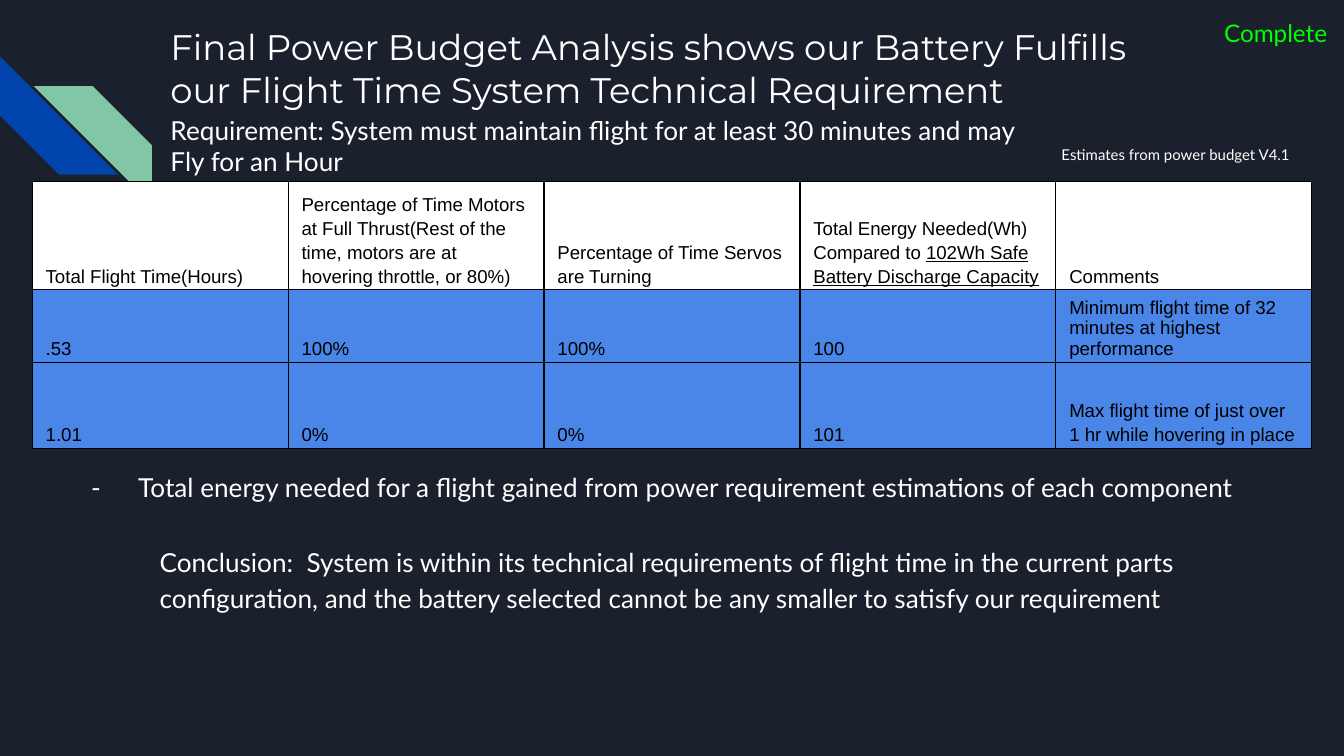
from lxml import etree
from pptx import Presentation, util as u
from pptx.dml.color import RGBColor
from pptx.enum import shapes, text
from pptx.oxml import ns

COLUMNS, ROWS = 100, 56.25
UNIT = u.Inches(0.1)  # side of one grid cell
NAVY, BLUE, GREEN = "1B212C", "0145AC", "82C7A5"
WHITE, BLACK, LIME, CELL_BLUE = "FFFFFF", "000000", "00FF00", "4A86E8"

HEADERS = [
    ["Total Flight Time(Hours)"],
    ["Percentage of Time Motors at Full Thrust(Rest of the time, "
     "motors are at hovering throttle, or 80%)"],
    ["Percentage of Time Servos are Turning"],
    ["Total Energy Needed(Wh) Compared to ", "102Wh Safe Battery Discharge Capacity"],
    ["Comments"],
]
FLIGHTS = [
    [".53", "100%", "100%", "100",
     "Minimum flight time of 32 minutes at highest performance"],
    ["1.01", "0%", "0%", "101",
     "Max flight time of just over 1 hr while hovering in place"],
]


def color(value):
    return RGBColor.from_string(value)


def grid(*cells):
    """Turn counts of grid columns or rows into lengths."""
    return [u.Emu(round(count * UNIT)) for count in cells]


def style(para, font, size, ink, spacing=1.0):
    para.line_spacing = spacing
    for span in para.runs:
        span.font.name = font
        span.font.size = u.Pt(size)
        span.font.color.rgb = color(ink)


def add_stripe(page, place, fill):
    stripe = page.shapes.add_shape(shapes.MSO_SHAPE.DIAGONAL_STRIPE, *grid(*place))
    stripe.shadow.inherit = False
    stripe.fill.solid()
    stripe.fill.fore_color.rgb = color(fill)
    stripe.line.fill.background()
    return stripe


def add_text(page, place, words, size, ink=WHITE, font="Lato", spacing=1.0):
    box = page.shapes.add_textbox(*grid(*place))
    frame = box.text_frame
    frame.word_wrap = True
    frame.margin_left = frame.margin_right = UNIT
    frame.margin_top = frame.margin_bottom = UNIT
    frame.text = words
    for para in frame.paragraphs:
        style(para, font, size, ink, spacing)
    return box


def add_dash(para, ink):
    """Hang the paragraph behind a dash bullet."""
    props = para._p.get_or_add_pPr()
    props.set("marL", str(u.Inches(0.5)))
    props.set("indent", str(u.Inches(-0.35)))
    tint = etree.SubElement(props, ns.qn("a:buClr"))
    etree.SubElement(tint, ns.qn("a:srgbClr"), val=ink)
    etree.SubElement(props, ns.qn("a:buFont"), typeface="Lato")
    etree.SubElement(props, ns.qn("a:buChar"), char="-")


def add_borders(cell, ink, width):
    props = cell._tc.get_or_add_tcPr()
    for index, side in enumerate(("lnL", "lnR", "lnT", "lnB")):
        line = etree.Element(ns.qn(f"a:{side}"), w=str(u.Pt(width)))
        solid = etree.SubElement(line, ns.qn("a:solidFill"))
        etree.SubElement(solid, ns.qn("a:srgbClr"), val=ink)
        props.insert(index, line)


def fill_cell(cell, parts, fill, spacing):
    """Write the parts into the cell, underlining all but the first."""
    cell.fill.solid()
    cell.fill.fore_color.rgb = color(fill)
    cell.vertical_anchor = text.MSO_ANCHOR.BOTTOM
    cell.margin_left = cell.margin_right = UNIT
    cell.margin_top = cell.margin_bottom = u.Inches(0.02)
    para = cell.text_frame.paragraphs[0]
    for index, part in enumerate(parts):
        span = para.add_run()
        span.text = part
        if index:
            span.font.underline = True
    style(para, "Arial", 10, BLACK, spacing)
    add_borders(cell, BLACK, 0.75)


def add_flight_table(page):
    rows = [HEADERS] + [[[value] for value in flight] for flight in FLIGHTS]
    heights = grid(6.4, 4, 6.4)
    place = grid(2.4, 13.5, 95.2, 16.8)
    table = page.shapes.add_table(len(rows), len(HEADERS), *place).table
    table.first_row = table.horz_banding = False
    for column in table.columns:
        column.width = place[2] // len(HEADERS)
    for r, (row, height) in enumerate(zip(rows, heights)):
        table.rows[r].height = height
        for c, parts in enumerate(row):
            tight = (r, c) == (1, 4)
            fill_cell(table.cell(r, c), parts, CELL_BLUE if r else WHITE,
                      1.0 if tight else 1.15)


def main():
    deck = Presentation()
    deck.slide_width, deck.slide_height = grid(COLUMNS, ROWS)
    page = deck.slides.add_slide(deck.slide_layouts[6])
    page.background.fill.solid()
    page.background.fill.fore_color.rgb = color(NAVY)

    add_stripe(page, (0, 4.2, 8.8, 8.8), BLUE).rotation = 270
    mirrored = add_stripe(page, (2.5, 6.4, 8.8, 8.8), GREEN)
    mirrored.element.spPr.get_or_add_xfrm().set("flipH", "1")

    add_text(page, (11.7, 0.9, 76.2, 10),
             "Final Power Budget Analysis shows our Battery Fulfills "
             "our Flight Time System Technical Requirement", 19, font="Montserrat")
    add_text(page, (10.9, 39.3, 82.3, 7.4),
             "Conclusion:  System is within its technical requirements of flight time "
             "in the current parts configuration, and the battery selected cannot be "
             "any smaller to satisfy our requirement", 14, spacing=1.15)
    add_text(page, (90.1, 0, 9.9, 4.2), "Complete", 13, LIME, spacing=1.15)
    add_flight_table(page)
    add_text(page, (11.7, 7.5, 82.9, 6.7),
             "Requirement: System must maintain flight for at least 30 minutes and may\n"
             "Fly for an Hour", 14)
    energy = add_text(page, (4.3, 34.1, 91.4, 4.4),
                      "Total energy needed for a flight gained from power requirement "
                      "estimations of each component", 14)
    add_dash(energy.text_frame.paragraphs[0], WHITE)
    add_text(page, (78, 10.2, 19.6, 3.4), "Estimates from power budget V4.1", 8)

    deck.save("out.pptx")


if __name__ == "__main__":
    main()
